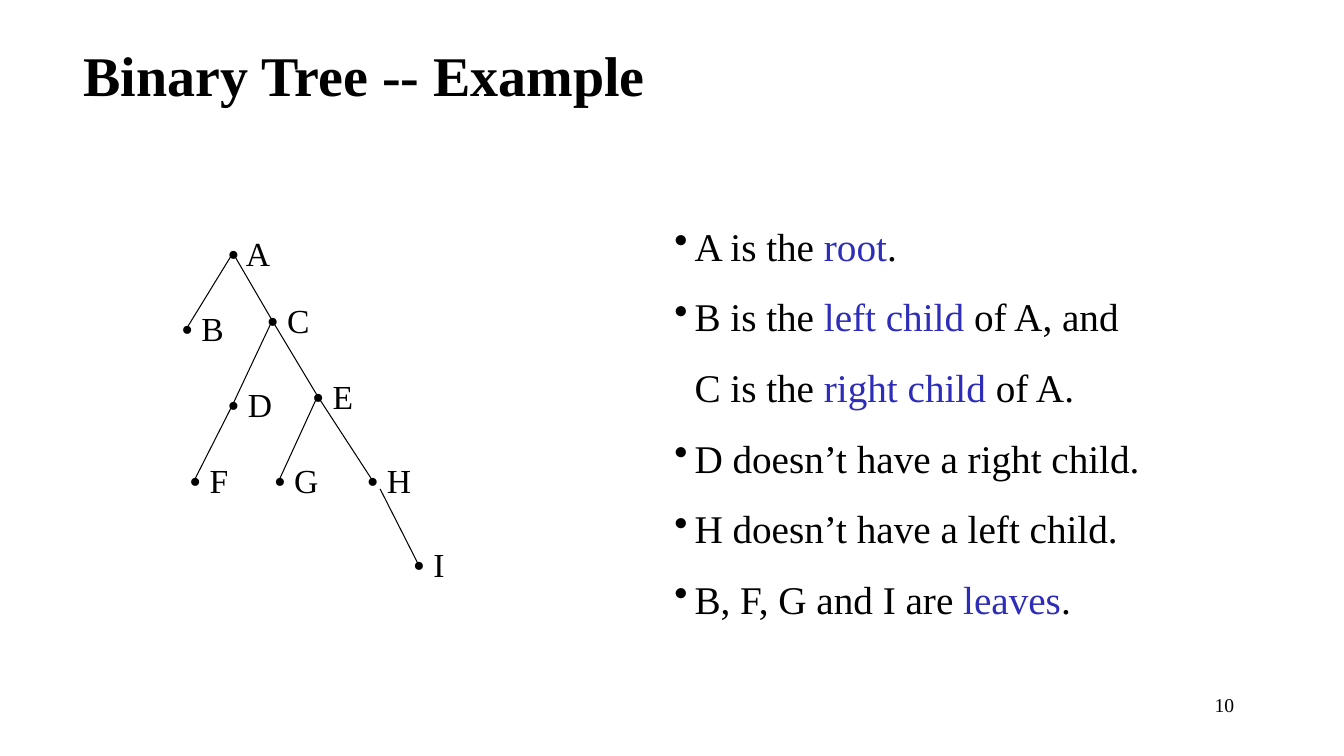
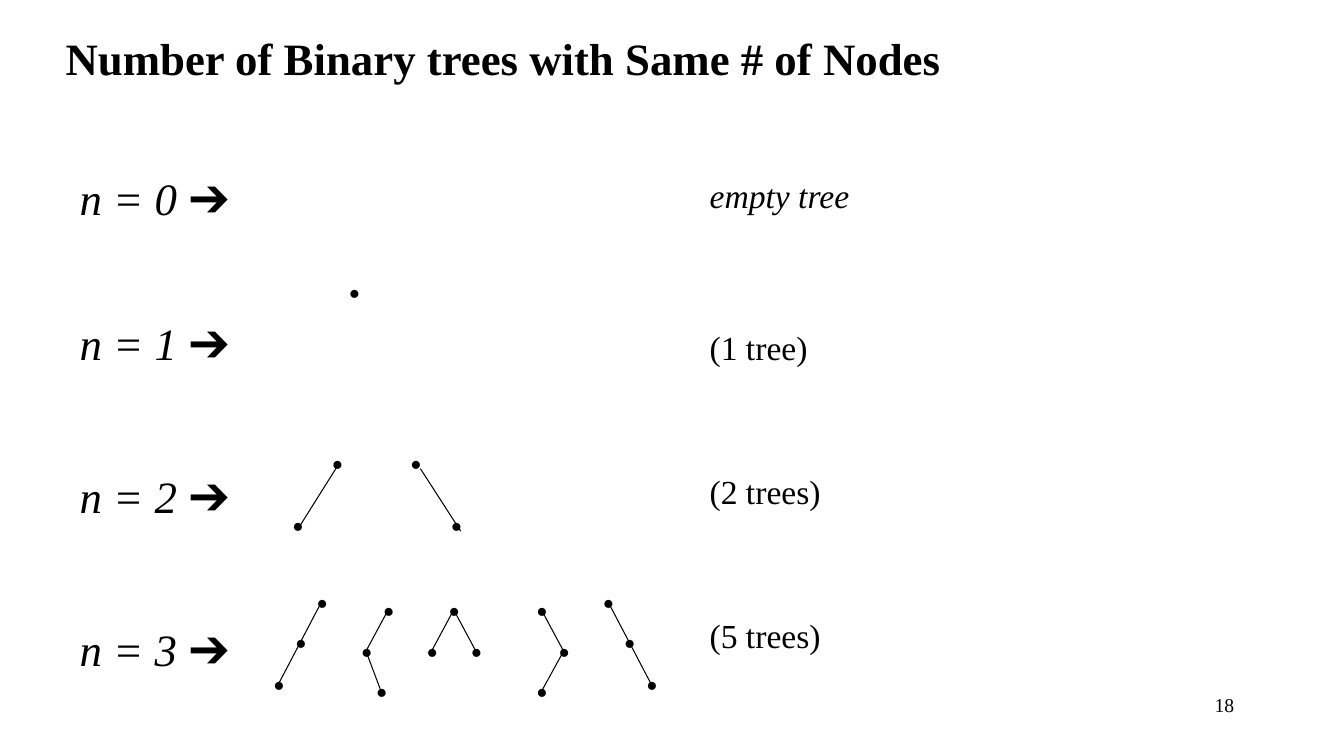
from itertools import pairwise
from lxml import etree
from pptx import Presentation
from pptx import util as u
from pptx.dml import color
from pptx.enum import shapes, text
from pptx.oxml import ns

INK, ACCENT = "000000", "2D2DB9"
FONT = "Times New Roman"
BULLET = "\u2022"


def rgb(value):
    return color.RGBColor.from_string(value)


class Builder:
    def __init__(self):
        self.deck = Presentation()
        self.deck.slide_width = u.Inches(13.33)
        self.deck.slide_height = u.Inches(7.5)
        self.page = None

    def add_page(self, title, place, size, number):
        layout = self.deck.slide_layouts.get_by_name("Title Only")
        self.page = self.deck.slides.add_slide(layout)
        box = self.page.shapes.title
        box.left, box.top, box.width, box.height = map(u.Inches, place)
        frame = box.text_frame
        frame.auto_size = text.MSO_AUTO_SIZE.NONE
        frame.vertical_anchor = text.MSO_ANCHOR.MIDDLE
        para = frame.paragraphs[0]
        para.alignment = text.PP_ALIGN.LEFT
        self.span(para, title, size=size, bold=True)
        self.label(number, 9.56, 6.83, 2.78, size=14, align=text.PP_ALIGN.RIGHT)

    def span(self, para, words, ink=INK, size=24, **style):
        span = para.add_run()
        span.text = words
        for name, value in {"name": FONT, "size": u.Pt(size), **style}.items():
            setattr(span.font, name, value)
        span.font.color.rgb = rgb(ink)

    def frame(self, left, top, width, height):
        box = self.page.shapes.add_textbox(*map(u.Inches, (left, top, width, height)))
        box.text_frame.word_wrap = True
        return box.text_frame

    def label(self, words, left, top, width, height=0.5, align=text.PP_ALIGN.LEFT, **style):
        para = self.frame(left, top, width, height).paragraphs[0]
        para.alignment = align
        self.span(para, words, **style)

    def bullets(self, items, place, size, spacing, indent):
        frame = self.frame(*place)
        for index, (marked, parts) in enumerate(items):
            para = frame.paragraphs[0] if index == 0 else frame.add_paragraph()
            para.line_spacing = spacing
            for order, words in enumerate(parts):
                self.span(para, words, ink=ACCENT if order % 2 else INK, size=size)
            props = para._p.get_or_add_pPr()
            props.set("marL", str(u.Inches(indent)))
            props.set("indent", str(u.Inches(-indent if marked else 0)))
            if marked:
                etree.SubElement(props, ns.qn("a:buChar")).set("char", BULLET)

    def line(self, start, end):
        ends = map(u.Inches, (*start, *end))
        line = self.page.shapes.add_connector(shapes.MSO_CONNECTOR.STRAIGHT, *ends)
        line.line.color.rgb = rgb(INK)
        line.line.width = u.Pt(0.75)
        etree.SubElement(line._element.spPr, ns.qn("a:effectLst"))

    def node(self, point, name=""):
        x, y = point
        words = f"{BULLET} {name}" if name else BULLET
        self.label(words, x - 0.15, y - 0.25, 0.7 if name else 0.36)

    def chain(self, points, shift=(0, 0)):
        dx, dy = shift
        for start, end in pairwise((x + dx, y + dy) for x, y in points):
            self.line(start, end)
        for point in points:
            self.node(point)

    def save(self):
        self.deck.save("out.pptx")


slides = Builder()

slides.add_page("Binary Tree -- Example", (0.73, 0.32, 11.33, 0.83), 40, "10")
nodes = {
    "A": (2.31, 2.51), "B": (1.85, 3.26), "C": (2.7, 3.18),
    "D": (2.31, 4.01), "E": (3.15, 3.93), "F": (1.93, 4.76),
    "G": (2.77, 4.76), "H": (3.69, 4.76), "I": (4.15, 5.6),
}
for parent, child in ("AB", "AC", "CD", "CE", "DF", "EG", "EH"):
    slides.line(nodes[parent], nodes[child])
slides.line((3.77, 4.85), nodes["I"])
for name, point in nodes.items():
    slides.node(point, name)
facts = [
    (True, ["A is the ", "root", "."]),
    (True, ["B is the ", "left child ", "of A, and "]),
    (False, ["C is the ", "right child ", "of A."]),
    (True, ["D doesn\u2019t have a right child."]),
    (True, ["H doesn\u2019t have a left child."]),
    (True, ["B, F, G and I are ", "leaves", "."]),
]
slides.bullets(facts, (6.59, 1.92, 5.47, 4.96), size=28, spacing=1.5, indent=0.2)

slides.add_page("Number of Binary trees with Same # of Nodes", (0.55, 0.16, 11.92, 0.83), 32, "18")
rows = [
    (1.64, "empty tree", 1.69),
    (3.08, "(1 tree)", 3.19),
    (4.6, "(2 trees)", 4.62),
    (6.12, "(5 trees)", 6.05),
]
for count, (top, answer, answer_top) in enumerate(rows):
    slides.label(f"n = {count} \u2794", 0.69, top, 1.78, 0.64, size=32, italic=True)
    slides.label(answer, 6.94, answer_top, 2.6, italic=count == 0)

slides.node((3.51, 2.9))
slides.chain([(3.34, 4.59), (2.95, 5.21)], shift=(0.01, 0.03))
slides.chain([(4.12, 4.59), (4.52, 5.21)], shift=(0.05, 0.06))
three_node_trees = [
    [(3.19, 5.97), (2.98, 6.37), (2.76, 6.79)],
    [(3.85, 6.05), (3.63, 6.46), (3.78, 6.86)],
    [(4.28, 6.46), (4.5, 6.05), (4.72, 6.46)],
    [(5.37, 6.05), (5.59, 6.46), (5.37, 6.86)],
    [(6.03, 5.97), (6.24, 6.37), (6.46, 6.79)],
]
for points in three_node_trees:
    slides.chain(points)

slides.save()
